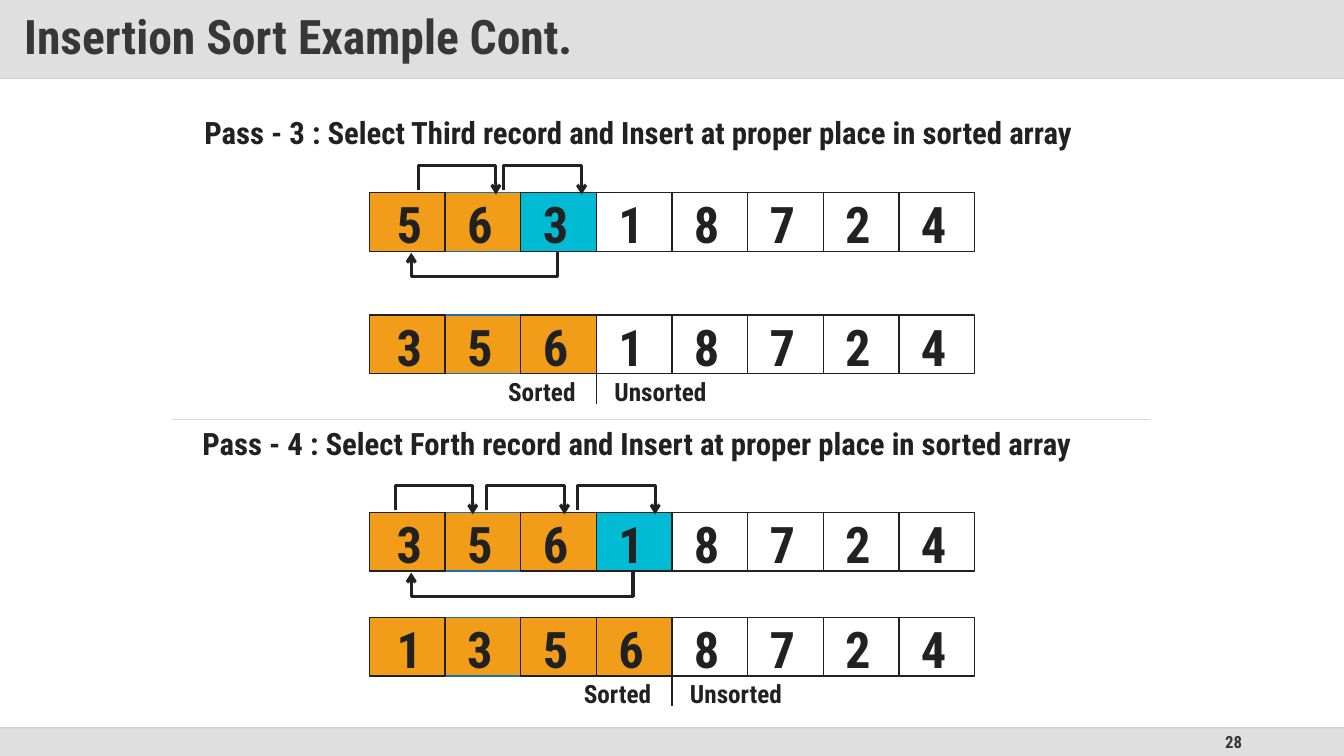
import dataclasses

import pptx
import pptx.dml.color
import pptx.enum.shapes
import pptx.enum.text
import pptx.oxml.ns
import pptx.util
from lxml import etree

COLUMNS, ROWS = 160, 90
ALIGN = pptx.enum.text.PP_ALIGN
MIDDLE = pptx.enum.text.MSO_ANCHOR.MIDDLE
CONNECTOR = pptx.enum.shapes.MSO_CONNECTOR


@dataclasses.dataclass(frozen=True)
class Theme:
    font: str = "Roboto Condensed"
    ink: str = "212121"
    heading: str = "373737"
    title_bar: str = "C0C0C0"
    footer_bar: str = "DFDFDF"
    rule: str = "D9D9D9"
    footer_rule: str = "BFBFBF"
    sorted_fill: str = "F19D19"
    selected_fill: str = "00BBD3"
    unsorted_fill: str = "FFFFFF"
    second_outline: str = "1D6FA9"
    title_size: int = 34
    digit_size: int = 36
    pass_size: int = 22
    label_size: int = 18
    number_size: int = 12


class SlideBuilder:
    def __init__(self, presentation, theme):
        self.theme = theme
        self.unit_x = presentation.slide_width / COLUMNS
        self.unit_y = presentation.slide_height / ROWS
        self.slide = presentation.slides.add_slide(presentation.slide_layouts[6])

    def place(self, column, row):
        return round(column * self.unit_x), round(row * self.unit_y)

    def add_child(self, parent, tag, **attributes):
        return etree.SubElement(parent, pptx.oxml.ns.qn(tag), **attributes)

    def fade(self, shape, percent):
        color = next(shape._element.iter(pptx.oxml.ns.qn("a:srgbClr")))
        self.add_child(color, "a:alpha", val=str(percent * 1000))

    def rectangle(self, column, row, width, height, fill, outline=None):
        shape = self.slide.shapes.add_shape(
            pptx.enum.shapes.MSO_SHAPE.RECTANGLE,
            *self.place(column, row), *self.place(width, height))
        shape.shadow.inherit = False
        shape.fill.solid()
        shape.fill.fore_color.rgb = pptx.dml.color.RGBColor.from_string(fill)
        if outline:
            shape.line.color.rgb = pptx.dml.color.RGBColor.from_string(outline)
            shape.line.width = pptx.util.Pt(1)
        else:
            shape.line.fill.background()
        return shape

    def set_words(self, shape, words, size, color, align=ALIGN.LEFT):
        paragraph = shape.text_frame.paragraphs[0]
        paragraph.text = words
        paragraph.alignment = align
        paragraph.font.name = self.theme.font
        paragraph.font.size = pptx.util.Pt(size)
        paragraph.font.bold = True
        paragraph.font.color.rgb = pptx.dml.color.RGBColor.from_string(color)
        return paragraph

    def text(self, column, row, width, height, words, size, align=ALIGN.LEFT):
        box = self.slide.shapes.add_textbox(
            *self.place(column, row), *self.place(width, height))
        box.text_frame.word_wrap = False
        box.text_frame.auto_size = pptx.enum.text.MSO_AUTO_SIZE.SHAPE_TO_FIT_TEXT
        self.set_words(box, words, size, self.theme.ink, align)

    def line(self, start, end, color, width=1, kind=CONNECTOR.STRAIGHT):
        connector = self.slide.shapes.add_connector(
            kind, *self.place(*start), *self.place(*end))
        connector.line.color.rgb = pptx.dml.color.RGBColor.from_string(color)
        connector.line.width = pptx.util.Pt(width)
        self.add_child(connector._element.spPr, "a:effectLst")
        return connector

    def bent_arrow(self, start, end, reach):
        center_x, center_y = (start[0] + end[0]) / 2, (start[1] + end[1]) / 2
        half_span, drop = abs(end[0] - start[0]) / 2, end[1] - start[1]
        side = drop / 2 if reach < 0 else -drop / 2
        connector = self.line(
            (center_x + side, center_y - half_span),
            (center_x - side, center_y + half_span),
            self.theme.ink, 2.25, CONNECTOR.ELBOW)
        properties = connector._element.spPr
        properties.xfrm.set("rot", str((270 if reach < 0 else 90) * 60000))
        guides = properties.find(pptx.oxml.ns.qn("a:prstGeom")).get_or_add_avLst()
        self.add_child(guides, "a:gd", name="adj1",
                       fmla=f"val {round(reach / drop * 100000)}")
        outline = properties.find(pptx.oxml.ns.qn("a:ln"))
        self.add_child(outline, "a:tailEnd", type="arrow")

    def frame(self, title, number):
        theme = self.theme
        self.rectangle(0, 86.64, COLUMNS, 3.36, theme.footer_bar)
        footer = self.slide.shapes.add_textbox(
            *self.place(113.04, 86.64), *self.place(36, 3.36))
        footer.text_frame.word_wrap = True
        footer.text_frame.vertical_anchor = MIDDLE
        self.set_words(footer, number, theme.number_size, theme.heading, ALIGN.RIGHT)
        self.line((0, 9.36), (COLUMNS, 9.36), theme.rule)
        self.fade(self.line((0, 86.64), (COLUMNS, 86.64), theme.footer_rule), 70)
        bar = self.rectangle(0, 0, COLUMNS, 9.36, theme.title_bar)
        self.fade(bar, 50)
        frame = bar.text_frame
        frame.word_wrap = True
        frame.vertical_anchor = MIDDLE
        frame.margin_left = frame.margin_right = pptx.util.Inches(0.24)
        frame.margin_top = frame.margin_bottom = pptx.util.Inches(0.12)
        paragraph = self.set_words(bar, title, theme.title_size, theme.heading)
        paragraph.line_spacing = 0.9

    def array(self, row, digits, sorted_count, selected=None):
        theme = self.theme
        left, size = 44, 9
        for index in (1, 0, *range(2, len(digits))):
            fill = theme.sorted_fill if index < sorted_count else theme.unsorted_fill
            if index == selected:
                fill = theme.selected_fill
            outline = theme.second_outline if index == 1 else theme.ink
            self.rectangle(left + index * size, row, size, 7, fill, outline)
        for index, digit in enumerate(digits):
            inset = 1.44 if index else 2.04
            self.text(left + index * size + inset, row - 0.48, 5.52, 8.52,
                      digit, theme.digit_size)

    def boundary(self, row, sorted_count):
        theme = self.theme
        column = 44 + sorted_count * 9
        self.line((column, row + 6.6), (column, row + 10.6), theme.ink)
        self.text(column - 12, row + 6.72, 11.4, 4.8, "Sorted ",
                  theme.label_size, ALIGN.RIGHT)
        self.text(column + 0.96, row + 6.72, 14.04, 4.8, "Unsorted", theme.label_size)

    def sort_pass(self, heading, heading_at, before, after, rows, selected, hops):
        before_row, after_row = rows
        self.text(*heading_at, 110, 5.64, heading, self.theme.pass_size)
        self.array(before_row, before, selected, selected)
        for hop in hops:
            self.bent_arrow((hop, before_row - 0.24), (hop + 9.24, before_row + 0.24), -3)
        lift = 66.36 + (selected - 2) * 9
        self.bent_arrow((lift, before_row + 7), (48.96, before_row + 7.17), 3)
        self.array(after_row, after, selected + 1)
        self.boundary(after_row, selected + 1)


def main():
    presentation = pptx.Presentation()
    presentation.slide_width = pptx.util.Inches(13.33)
    presentation.slide_height = pptx.util.Inches(7.5)
    theme = Theme()
    builder = SlideBuilder(presentation, theme)
    builder.frame("Insertion Sort Example Cont.", "28")
    builder.sort_pass(
        "Pass - 3 : Select Third record and Insert at proper place in sorted array",
        (23.16, 12.96), "56318724", "35618724", (22.92, 37.5), 2, (60, 49.8))
    builder.line((20.5, 49.92), (137, 49.92), theme.rule, 0.5)
    builder.sort_pass(
        "Pass - 4 : Select Forth record and Insert at proper place in sorted array",
        (22.92, 49.92), "35618724", "13568724", (61, 73.5), 3, (68.76, 57.96, 47.04))
    presentation.save("out.pptx")


if __name__ == "__main__":
    main()
